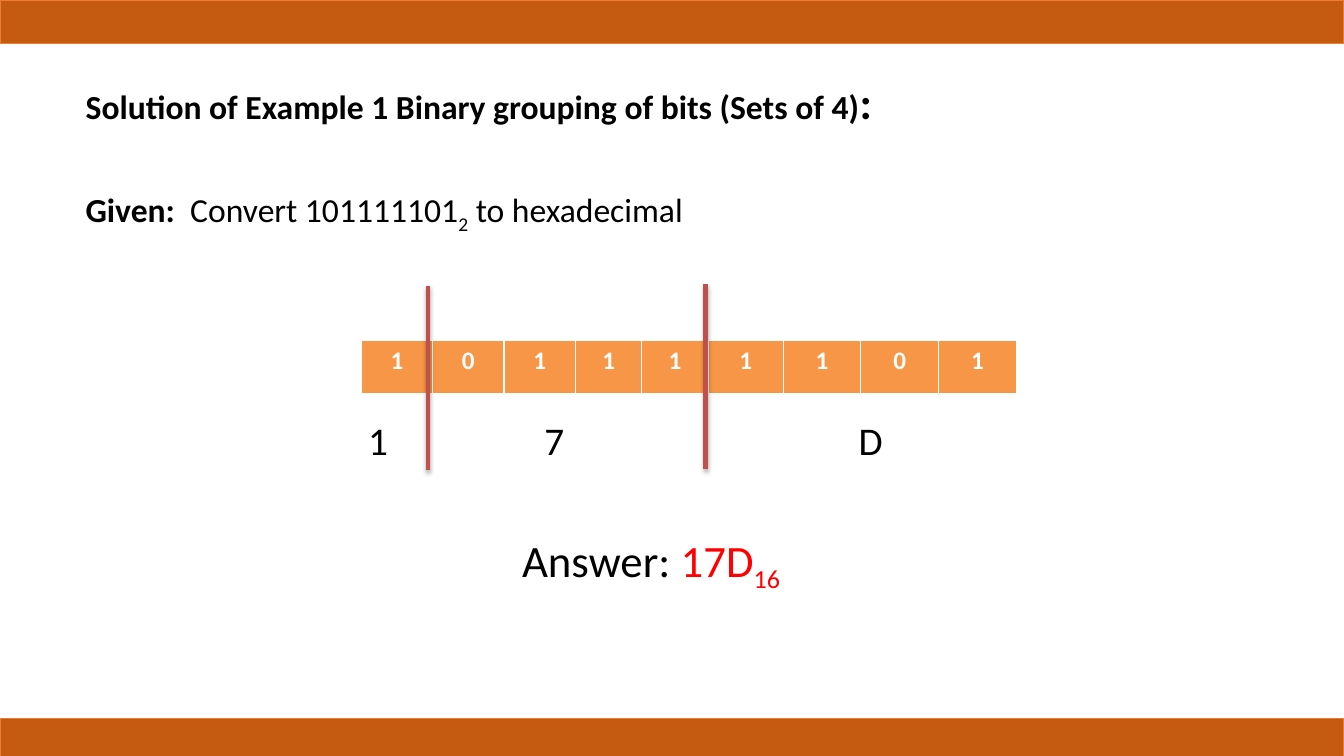
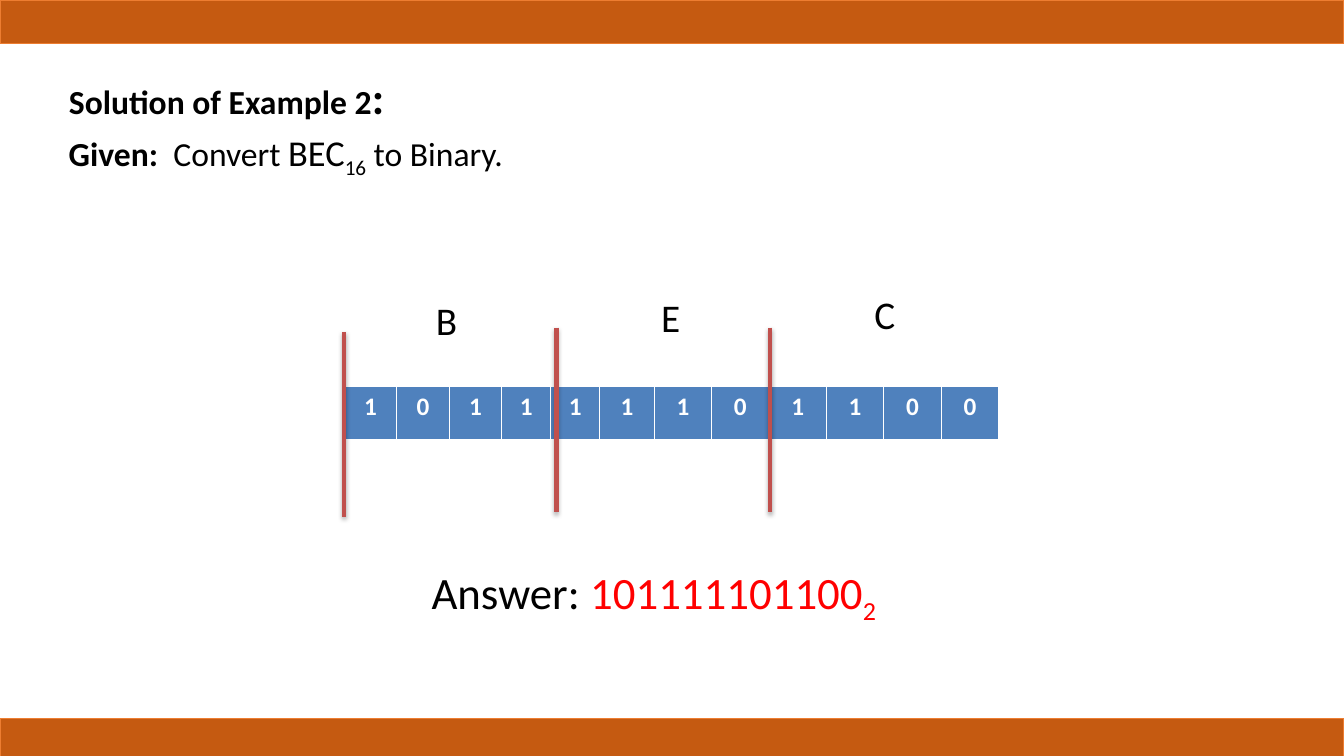
from pptx import Presentation
from pptx.dml.color import RGBColor
from pptx.enum.shapes import MSO_CONNECTOR, MSO_SHAPE
from pptx.enum.text import MSO_ANCHOR, MSO_AUTO_SIZE, PP_ALIGN
from pptx.oxml import parse_xml
from pptx.util import Pt

LEFT, CENTER = PP_ALIGN.LEFT, PP_ALIGN.CENTER
TOP = MSO_ANCHOR.TOP
NO_FIT = MSO_AUTO_SIZE.NONE
RECT, STRAIGHT = MSO_SHAPE.RECTANGLE, MSO_CONNECTOR.STRAIGHT
TITLE_ONLY = 5

SHADOW = (
    '<a:effectLst xmlns:a="http://schemas.openxmlformats.org/drawingml/2006/main">'
    '<a:outerShdw blurRad="40000" dist="23000" dir="5400000" rotWithShape="0">'
    '<a:srgbClr val="000000"><a:alpha val="35000"/></a:srgbClr>'
    '</a:outerShdw></a:effectLst>'
)


def rgb(value):
    return RGBColor.from_string(value)


def add_run(p, text, size=24, color="000000", bold=False, sub=False):
    r = p.add_run()
    r.text = text
    r.font.name = "Calibri"
    r.font.size = Pt(size)
    r.font.bold = bold
    r.font.color.rgb = rgb(color)
    if sub:
        r._r.get_or_add_rPr().set("baseline", "-25000")


class Deck:
    WIDTH, HEIGHT = 960, 540
    BAND, BAND_LINE = "C55A11", "ED7D31"
    DIVIDER, RESULT = "C0504D", "FF0000"

    def __init__(self):
        self.prs = Presentation()
        self.prs.slide_width = Pt(self.WIDTH)
        self.prs.slide_height = Pt(self.HEIGHT)
        self.s = None

    def new_slide(self, title, x, y):
        self.s = self.prs.slides.add_slide(self.prs.slide_layouts[TITLE_ONLY])
        for top in (0, 513.4):
            self.band(top)
        sp = self.s.shapes.title
        sp.left, sp.top, sp.width, sp.height = Pt(x), Pt(y), Pt(640), Pt(46)
        p = self.set_frame(sp.text_frame, LEFT)
        add_run(p, title, bold=True)
        add_run(p, ":", size=32, bold=True)

    def band(self, top):
        sp = self.s.shapes.add_shape(RECT, 0, Pt(top), Pt(self.WIDTH), Pt(31))
        sp.shadow.inherit = False
        sp.fill.solid()
        sp.fill.fore_color.rgb = rgb(self.BAND)
        sp.line.color.rgb = rgb(self.BAND_LINE)
        sp.line.width = Pt(1)

    def set_frame(self, tf, align):
        """Apply the shared frame settings and return the first paragraph."""
        tf.word_wrap = True
        tf.auto_size = NO_FIT
        tf.vertical_anchor = TOP
        p = tf.paragraphs[0]
        p.alignment = align
        return p

    def text(self, x, y, w, h, align=LEFT):
        """Add an empty text box and return its paragraph."""
        sp = self.s.shapes.add_textbox(Pt(x), Pt(y), Pt(w), Pt(h))
        return self.set_frame(sp.text_frame, align)

    def given(self, x, y, *runs):
        """Add the task line; each run is a text and its format."""
        p = self.text(x, y, 580, 40)
        add_run(p, "Given:  ", bold=True)
        for text, style in runs:
            add_run(p, text, **style)

    def bits(self, x, y, digits, widths, fill):
        """Add a one-row table with one digit in each cell."""
        table = self.s.shapes.add_table(
            1, len(digits), Pt(x), Pt(y), Pt(sum(widths)), Pt(38)).table
        for i, (digit, width) in enumerate(zip(digits, widths)):
            table.columns[i].width = Pt(width)
            cell = table.cell(0, i)
            cell.fill.solid()
            cell.fill.fore_color.rgb = rgb(fill)
            p = cell.text_frame.paragraphs[0]
            p.alignment = CENTER
            add_run(p, digit, size=18, color="FFFFFF", bold=True)

    def divider(self, x, y):
        line = self.s.shapes.add_connector(
            STRAIGHT, Pt(x), Pt(y), Pt(x), Pt(y + 132))
        line.line.color.rgb = rgb(self.DIVIDER)
        line.line.width = Pt(3)
        line._element.spPr.append(parse_xml(SHADOW))

    def hex_digit(self, digit, center, y):
        add_run(self.text(center - 24, y, 48, 41, CENTER), digit, size=28)

    def answer(self, x, y, value, base):
        p = self.text(x, y, 342, 46, CENTER)
        add_run(p, "Answer: ", size=32)
        add_run(p, value, size=32, color=self.RESULT)
        add_run(p, base, size=32, color=self.RESULT, sub=True)


def binary_to_hex(deck):
    deck.new_slide("Solution of Example 1 Binary grouping of bits (Sets of 4)",
                   54, 49.5)
    deck.given(54, 131.5, ("Convert 101111101", {}), ("2", {"sub": True}),
               (" to hexadecimal", {}))
    deck.bits(258, 243.5, "101111101",
              [51] * 3 + [47.5] * 2 + [53.5] + [55.5] * 3, "F79646")
    for x, y in ((306, 204), (504, 203)):
        deck.divider(x, y)
    for digit, center in (("1", 270), ("7", 396), ("D", 622)):
        deck.hex_digit(digit, center, 294)
    deck.answer(294, 377, "17D", "16")


def hex_to_binary(deck):
    deck.new_slide("Solution of Example 2", 42, 46.5)
    deck.given(42, 89.5, ("Convert ", {}), ("BEC", {"size": 26}),
               ("16", {"size": 26, "sub": True}), (" to Binary.", {}))
    deck.bits(246, 276, "101111101100",
              [37.5] * 3 + [35] * 2 + [39] + [41] * 6, "4F81BD")
    for x, y in ((246, 237), (397.5, 234), (550, 234)):
        deck.divider(x, y)
    for digit, center, y in (("B", 319, 208), ("E", 479, 206), ("C", 632, 204)):
        deck.hex_digit(digit, center, y)
    deck.answer(296, 400, "101111101100", "2")


def main():
    deck = Deck()
    binary_to_hex(deck)
    hex_to_binary(deck)
    deck.prs.save("out.pptx")


if __name__ == "__main__":
    main()
